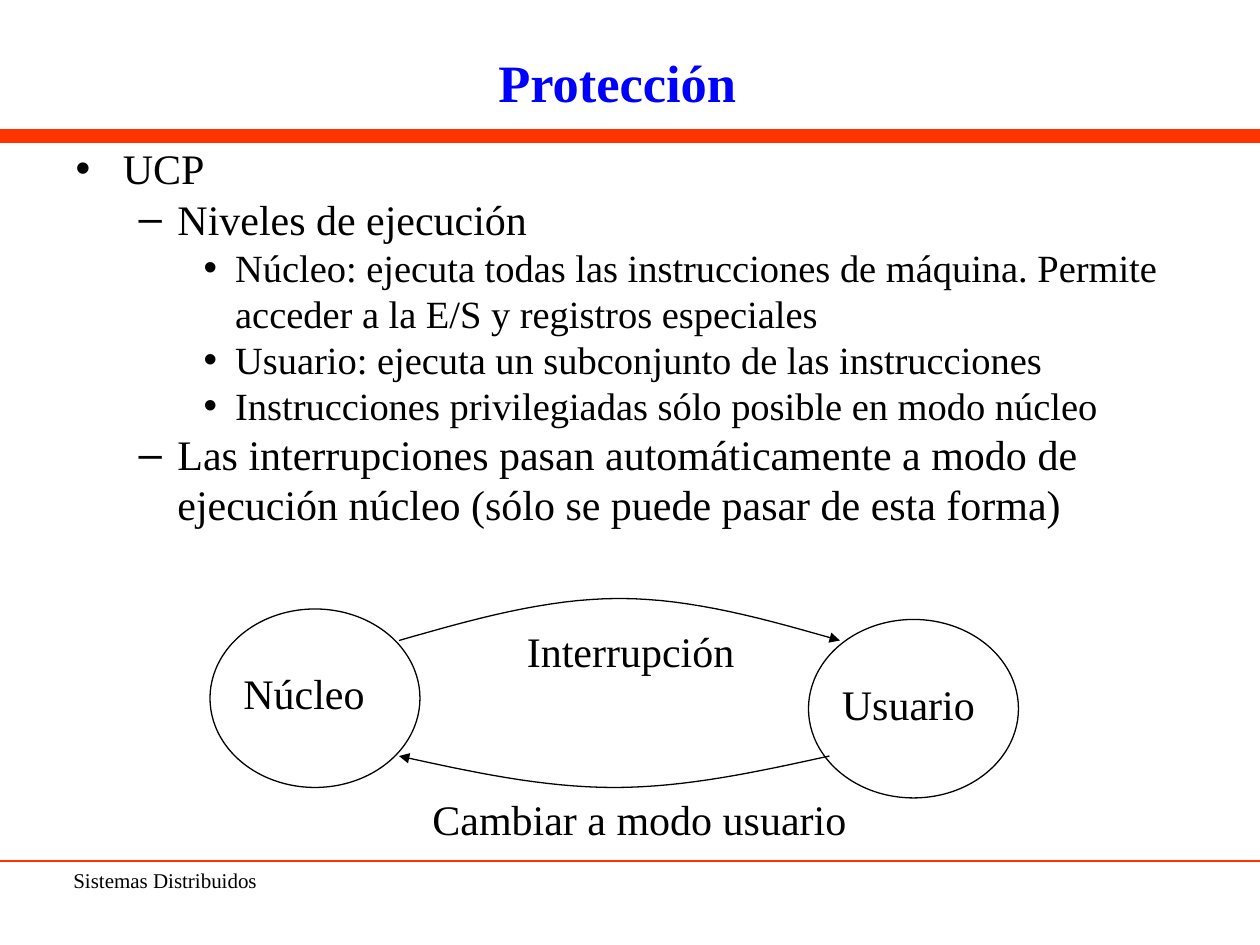
from lxml import etree
from pptx import Presentation
from pptx.dml.color import RGBColor
from pptx.enum.shapes import MSO_CONNECTOR, MSO_SHAPE
from pptx.enum.text import MSO_ANCHOR, MSO_AUTO_SIZE, PP_ALIGN
from pptx.oxml.ns import qn
from pptx.util import Pt

LINE = MSO_CONNECTOR.STRAIGHT
OVAL = MSO_SHAPE.OVAL
MIDDLE = MSO_ANCHOR.MIDDLE
FIXED = MSO_AUTO_SIZE.NONE
CENTER, LEFT = PP_ALIGN.CENTER, PP_ALIGN.LEFT

PX = 7620  # 120 px to the inch
WIDE, HIGH = 1200, 900
FONT = "Times New Roman"
COLORS = {"ink": "000000", "title": "0000FF", "rule": "FF3300"}
STEPS = 16  # segments in each half of a curve

# Margin, hanging indent and bullet of each list level
LEVELS = [(45, 45, "•"), (97, 37, "–"), (152, 30, "•")]
ITEMS = [
    (0, 24, "UCP"),
    (1, 24, "Niveles de ejecución"),
    (2, 22, "Núcleo: ejecuta todas las instrucciones de máquina. Permite\n"
            "acceder a la E/S y registros especiales"),
    (2, 22, "Usuario: ejecuta un subconjunto de las instrucciones"),
    (2, 22, "Instrucciones privilegiadas sólo posible en modo núcleo"),
    (1, 24, "Las interrupciones pasan automáticamente a modo de "
            "ejecución núcleo (sólo se puede pasar de esta forma)"),
]


def px(*nums):
    return [round(n * PX) for n in nums]


def color(name):
    return RGBColor.from_string(COLORS[name])


def style(para, size, name="ink", bold=False):
    para.font.name = FONT
    para.font.size = Pt(size)
    para.font.bold = bold
    para.font.color.rgb = color(name)


def stroke(shape, name="ink", width=0.75):
    shape.line.color.rgb = color(name)
    shape.line.width = Pt(width)


def place(shape, box):
    shape.left, shape.top, shape.width, shape.height = px(*box)


def label(slide, box, text, size=24):
    frame = slide.shapes.add_textbox(*px(*box)).text_frame
    frame.word_wrap = True
    para = frame.paragraphs[0]
    para.text = text
    style(para, size)


def rule(slide, y, width):
    line = slide.shapes.add_connector(LINE, *px(0, y, WIDE, y))
    stroke(line, "rule", width)
    etree.SubElement(line._element.spPr, qn("a:effectLst"))


def title(slide, box):
    shape = slide.shapes.title
    place(shape, box)
    frame = shape.text_frame
    frame.vertical_anchor = MIDDLE
    frame.auto_size = FIXED
    para = frame.paragraphs[0]
    para.text = "Protección"
    para.alignment = CENTER
    style(para, 30, "title", True)


def bullet(para, level):
    margin, hang, mark = LEVELS[level]
    props = para._p.get_or_add_pPr()
    props.set("marL", str(margin * PX))
    props.set("indent", str(-hang * PX))
    etree.SubElement(props, qn("a:buChar"), char=mark)


def body(slide, box):
    shape = slide.placeholders[1]
    place(shape, box)
    frame = shape.text_frame
    frame.auto_size = FIXED
    for i, (level, size, text) in enumerate(ITEMS):
        para = frame.add_paragraph() if i else frame.paragraphs[0]
        para.text = text
        para.level = level
        para.alignment = LEFT
        para.space_before = Pt(0)
        bullet(para, level)
        style(para, size)


def state(slide, box, text):
    """Circle with its name inside."""
    x, y, w, h = box
    oval = slide.shapes.add_shape(OVAL, *px(*box))
    oval.shadow.inherit = False
    oval.fill.background()
    stroke(oval)
    label(slide, (x + 20, y + 50, w - 30, 60), text)


def cubic(a, b, c, d, t):
    s = 1 - t
    return s**3 * a + 3 * s * s * t * b + 3 * s * t * t * c + t**3 * d


def arrow(slide, start, end, rise):
    """Bow from start to end at one height, with its peak at mid-way."""
    (x1, y), (x2, _) = start, end
    mid, top = (x1 + x2) / 2, y + rise
    third = (x2 - x1) / 6
    half = y + rise / 2
    curves = [
        ((x1, y), (x1 + third, half), (mid - third, top), (mid, top)),
        ((mid, top), (mid + third, top), (x2 - third, half), (x2, y)),
    ]
    dots = [
        tuple(px(*(cubic(*axis, n / STEPS) for axis in zip(*curve))))
        for curve in curves for n in range(1, STEPS + 1)
    ]
    outline = slide.shapes.build_freeform(*px(x1, y))
    outline.add_line_segments(dots, close=False)
    bow = outline.convert_to_shape()
    bow.shadow.inherit = False
    bow.fill.background()
    stroke(bow)
    etree.SubElement(bow.line._get_or_add_ln(), qn("a:tailEnd"), type="triangle")


def diagram(slide, box):
    x, y, w, h = box
    state(slide, (x, y + 10, 200, 170), "Núcleo")
    state(slide, (x + w - 200, y + 20, 200, 170), "Usuario")
    arrow(slide, (x + 180, y + 40), (x + 600, y + 40), -40)
    arrow(slide, (x + 590, y + 150), (x + 180, y + 150), 30)
    label(slide, (x + 290, y + 20, 240, 60), "Interrupción")
    label(slide, (x + 200, y + h - 60, 440, 60), "Cambiar a modo usuario")


def main():
    deck = Presentation()
    deck.slide_width, deck.slide_height = px(WIDE, HIGH)
    slide = deck.slides.add_slide(deck.slide_layouts[1])
    # Rules
    rule(slide, 130, 8)
    rule(slide, 820, 0.75)
    # Title and list
    title(slide, (462, 42, 252, 72))
    body(slide, (60, 130, 1100, 400))
    # States and transitions
    diagram(slide, (200, 570, 770, 240))
    # Footer
    label(slide, (58, 820, 1100, 60), "Sistemas Distribuidos", 12)
    deck.save("out.pptx")


if __name__ == "__main__":
    main()
